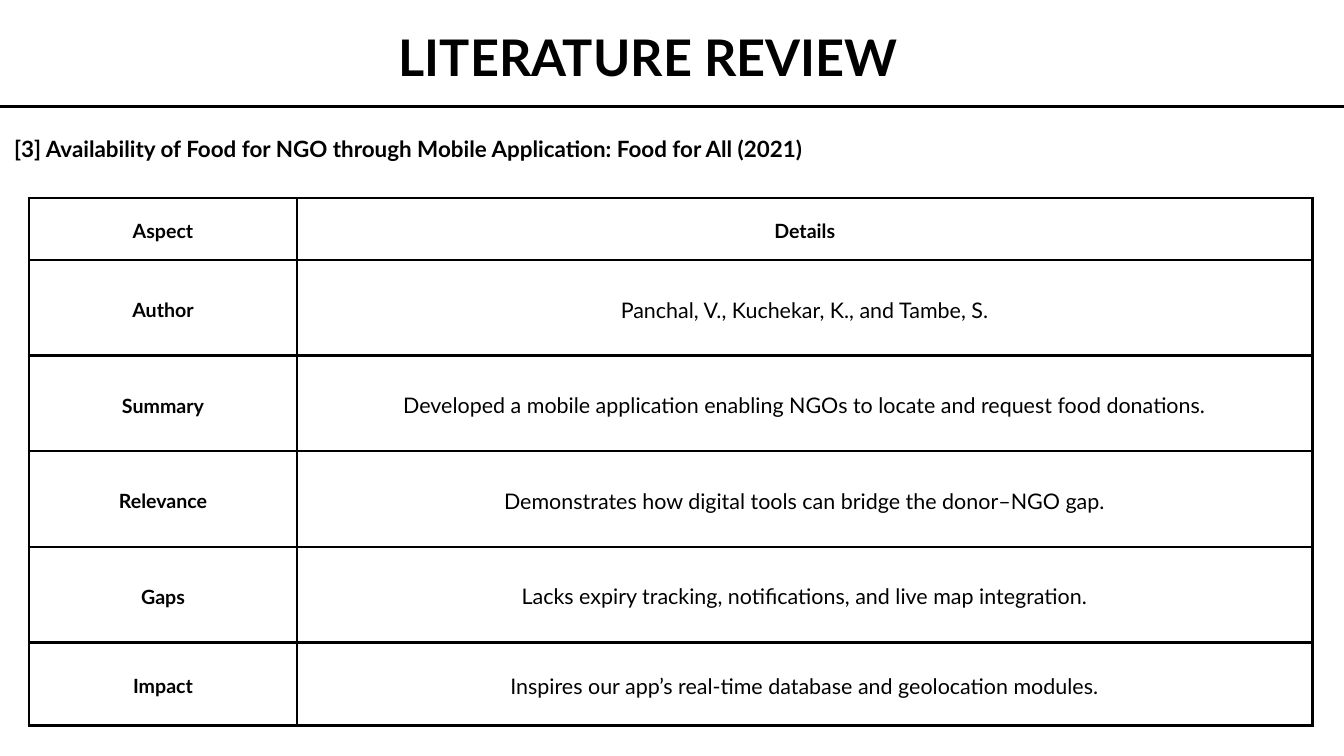
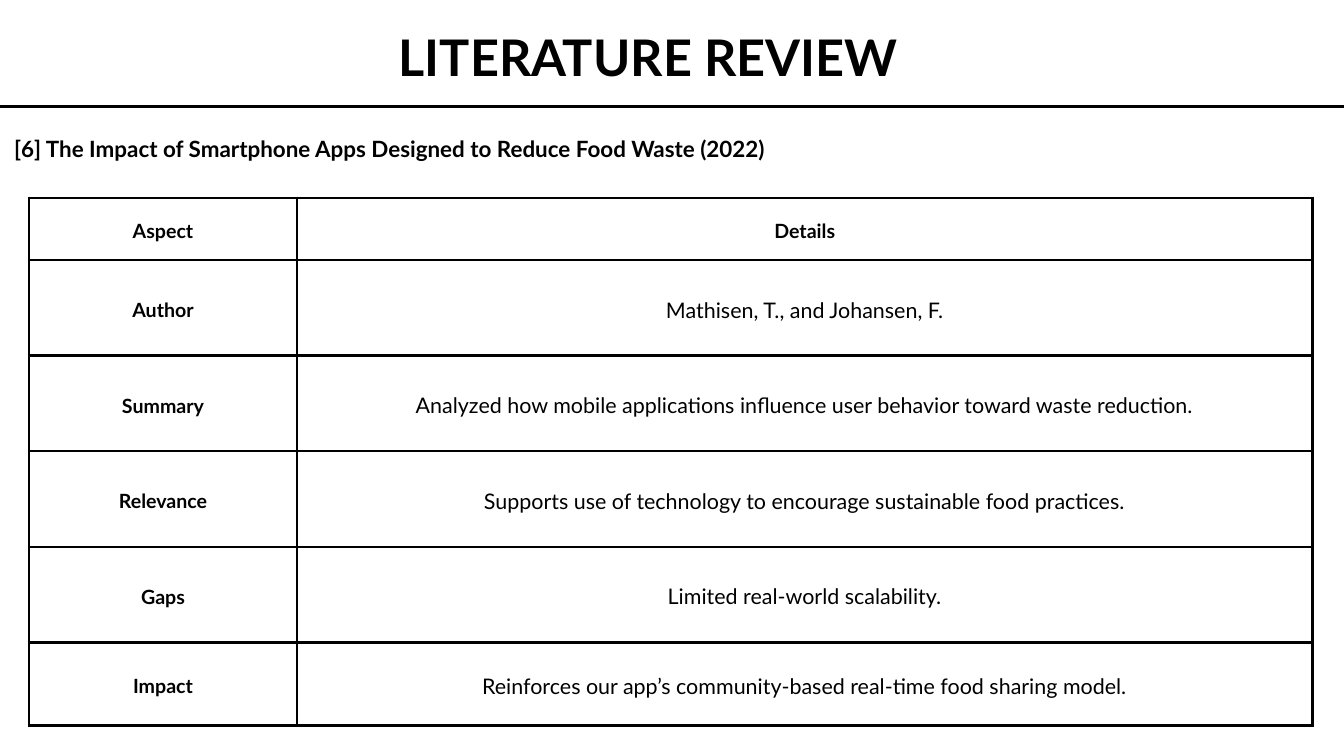
from lxml import etree
from pptx import Presentation
from pptx.dml.color import RGBColor
from pptx.enum.shapes import MSO_CONNECTOR
from pptx.enum.text import MSO_ANCHOR, PP_ALIGN
from pptx.oxml.ns import qn
from pptx.util import Pt

LEFT, CENTER = PP_ALIGN.LEFT, PP_ALIGN.CENTER
TOP, MIDDLE = MSO_ANCHOR.TOP, MSO_ANCHOR.MIDDLE
STRAIGHT = MSO_CONNECTOR.STRAIGHT

WIDTH, HEIGHT = 1440, 810
FONT, INK, RULE = "Lato", "000000", 3
LEADING = 1.4

TITLE_BOX = (414, 17.3, 561, 84.2)
PAPER_BOX = (15.1, 140.4, 1406, 38.2)
TABLE_BOX = (31, 212.2, 1375.2, 565.1)
LINE_Y, OVERHANG = 114.5, 42.5
LABEL_WIDTH, HEAD_HEIGHT, LAST_HEIGHT = 287.3, 66.5, 89
PAD = 15

TITLE = {"size": Pt(54), "bold": True}
PAPER = {"size": Pt(24), "bold": True}
LABEL = {"size": Pt(21), "bold": True}
DETAIL = {"size": Pt(23), "bold": False}

HEADING = "LITERATURE REVIEW"
ASPECTS = ["Author", "Summary", "Relevance", "Gaps", "Impact"]
REVIEWS = [
    ("[3] Availability of Food for NGO through Mobile Application: Food for All (2021)", [
        "Panchal, V., Kuchekar, K., and Tambe, S.",
        "Developed a mobile application enabling NGOs to locate and request food donations.",
        "Demonstrates how digital tools can bridge the donor–NGO gap.",
        "Lacks expiry tracking, notifications, and live map integration.",
        "Inspires our app’s real-time database and geolocation modules.",
    ]),
    ("[6] The Impact of Smartphone Apps Designed to Reduce Food Waste (2022)", [
        "Mathisen, T., and Johansen, F.",
        "Analyzed how mobile applications influence user behavior toward waste reduction.",
        "Supports use of technology to encourage sustainable food practices.",
        "Limited real-world scalability.",
        "Reinforces our app’s community-based real-time food sharing model.",
    ]),
]


def color(code):
    return RGBColor.from_string(code)


def points(box):
    return [Pt(n) for n in box]


def write(frame, text, style, align):
    frame.text = text
    para = frame.paragraphs[0]
    para.alignment = align
    para.line_spacing = Pt(round(style["size"].pt * LEADING, 1))
    para.space_before = Pt(0)
    font = para.runs[0].font
    font.name = FONT
    font.color.rgb = color(INK)
    for name, value in style.items():
        setattr(font, name, value)


def set_inset(item, pad):
    for side in ("left", "top", "right", "bottom"):
        setattr(item, f"margin_{side}", Pt(pad))


def fill_box(shape, box, text, style, align):
    shape.left, shape.top, shape.width, shape.height = points(box)
    frame = shape.text_frame
    frame.word_wrap = True
    frame.vertical_anchor = TOP
    set_inset(frame, 0)
    write(frame, text, style, align)


def add_rule(slide, y):
    line = slide.shapes.add_connector(
        STRAIGHT, *points((-OVERHANG, y, WIDTH + OVERHANG, y)))
    line.line.color.rgb = color(INK)
    line.line.width = Pt(RULE)
    etree.SubElement(line._element.spPr, qn("a:effectLst"))


def set_border(cell):
    props = cell._tc.get_or_add_tcPr()
    for side in ("lnL", "lnR", "lnT", "lnB"):
        edge = etree.SubElement(props, qn(f"a:{side}"), w=str(Pt(RULE)))
        fill = etree.SubElement(edge, qn("a:solidFill"))
        etree.SubElement(fill, qn("a:srgbClr"), val=INK)


def add_review(slide, box, details):
    rows = [("Aspect", "Details"), *zip(ASPECTS, details)]
    width, height = box[2:]
    middle = (height - HEAD_HEIGHT - LAST_HEIGHT) / (len(rows) - 2)
    heights = [HEAD_HEIGHT] + [middle] * (len(rows) - 2) + [LAST_HEIGHT]
    table = slide.shapes.add_table(len(rows), 2, *points(box)).table
    table.horz_banding = False
    for column, size in zip(table.columns, (LABEL_WIDTH, width - LABEL_WIDTH)):
        column.width = Pt(size)
    for r, (texts, size) in enumerate(zip(rows, heights)):
        table.rows[r].height = Pt(size)
        for c, text in enumerate(texts):
            cell = table.cell(r, c)
            set_border(cell)
            cell.fill.background()
            cell.vertical_anchor = MIDDLE
            set_inset(cell, PAD)
            write(cell.text_frame, text, DETAIL if r and c else LABEL, CENTER)


def add_page(deck, paper, details):
    slide = deck.slides.add_slide(deck.slide_layouts.get_by_name("Title Only"))
    add_rule(slide, LINE_Y)
    add_review(slide, TABLE_BOX, details)
    fill_box(slide.shapes.title, TITLE_BOX, HEADING, TITLE, CENTER)
    note = slide.shapes.add_textbox(*points(PAPER_BOX))
    fill_box(note, PAPER_BOX, paper, PAPER, LEFT)


def main():
    deck = Presentation()
    deck.slide_width, deck.slide_height = Pt(WIDTH), Pt(HEIGHT)
    for paper, details in REVIEWS:
        add_page(deck, paper, details)
    deck.save("out.pptx")


if __name__ == "__main__":
    main()
